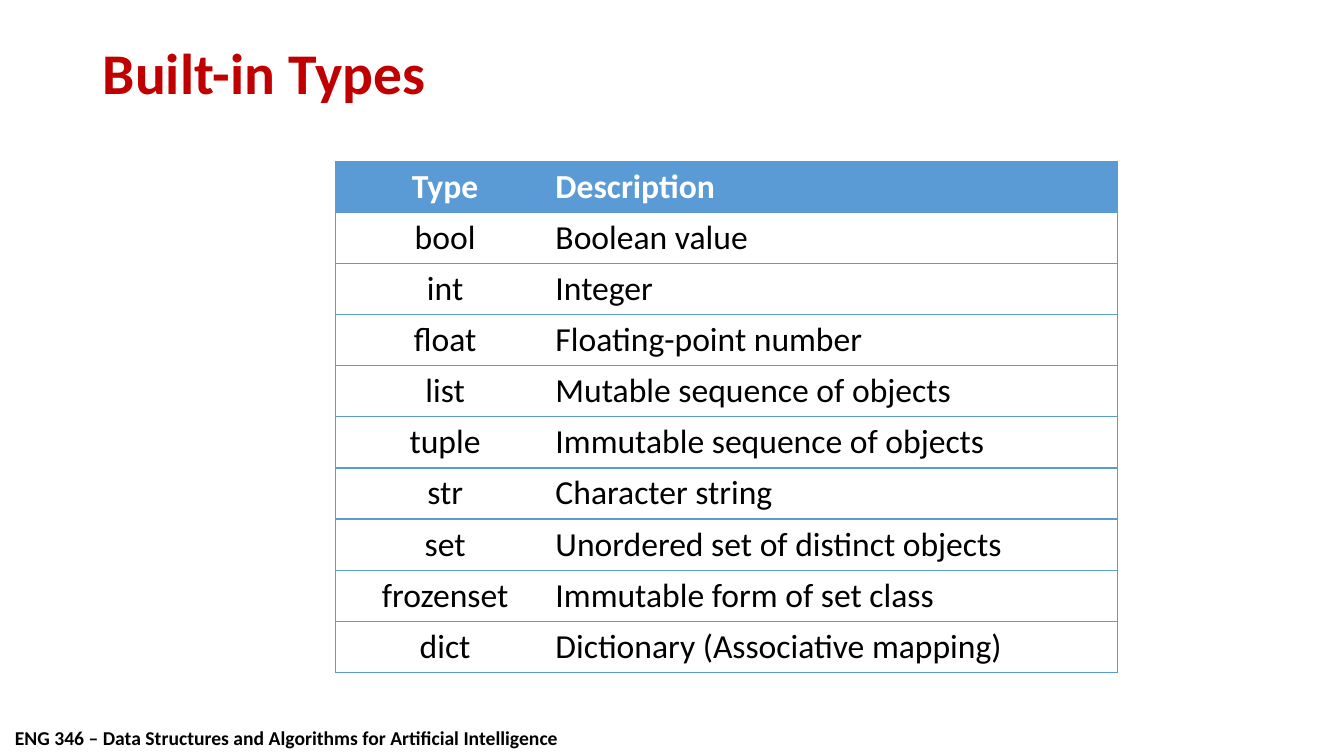
from lxml import etree
from pptx import Presentation
from pptx.dml.color import RGBColor
from pptx.enum.text import MSO_ANCHOR, MSO_AUTO_SIZE, PP_ALIGN
from pptx.oxml.ns import qn
from pptx.util import Inches, Pt

LEFT, CENTER = PP_ALIGN.LEFT, PP_ALIGN.CENTER
MIDDLE = MSO_ANCHOR.MIDDLE
NO_FIT = MSO_AUTO_SIZE.NONE

RED = RGBColor(0xC0, 0x00, 0x00)
BLUE = RGBColor(0x5B, 0x9B, 0xD5)
BLACK = RGBColor(0x00, 0x00, 0x00)
WHITE = RGBColor(0xFF, 0xFF, 0xFF)

TYPES = [
    ("Type", "Description"),
    ("bool", "Boolean value"),
    ("int", "Integer"),
    ("float", "Floating-point number"),
    ("list", "Mutable sequence of objects"),
    ("tuple", "Immutable sequence of objects"),
    ("str", "Character string"),
    ("set", "Unordered set of distinct objects"),
    ("frozenset", "Immutable form of set class"),
    ("dict", "Dictionary (Associative mapping)"),
]


def format_text(p, size, color, bold, align=LEFT):
    p.alignment = align
    for r in p.runs:
        r.font.name = "Calibri"
        r.font.size = Pt(size)
        r.font.bold = bold
        r.font.color.rgb = color


def add_border(cell, side, color):
    tcPr = cell._tc.get_or_add_tcPr()
    ln = etree.SubElement(tcPr, qn("a:ln" + side), w=str(Pt(0.96)))
    if color is None:
        etree.SubElement(ln, qn("a:noFill"))
    else:
        fill = etree.SubElement(ln, qn("a:solidFill"))
        etree.SubElement(fill, qn("a:srgbClr"), val=str(color))


prs = Presentation()
prs.slide_width, prs.slide_height = Inches(13.33), Inches(7.5)
s = prs.slides.add_slide(prs.slide_layouts.get_by_name("Title Only"))

# Title
title = s.shapes.title
title.left, title.top = Inches(0.92), Inches(0.4)
title.width, title.height = Inches(11.5), Inches(0.7)
tf = title.text_frame
tf.text = "Built-in Types"
tf.auto_size = NO_FIT
tf.vertical_anchor = MIDDLE
tf.paragraphs[0].line_spacing = 0.9
format_text(tf.paragraphs[0], 41.1, RED, True)

# Table of types
table = s.shapes.add_table(len(TYPES), 2, Inches(3.33), Inches(1.6),
                           Inches(7.75), Inches(5.07)).table
table.horz_banding = False
table.columns[0].width = Inches(2.17)
table.columns[1].width = Inches(5.58)
for i, row in enumerate(TYPES):
    header = i == 0
    for j, text in enumerate(row):
        cell = table.cell(i, j)
        cell.margin_left = cell.margin_right = Inches(0.01)
        cell.margin_top = cell.margin_bottom = Inches(0.05)
        # Outer frame and row rules, none between the columns
        add_border(cell, "L", BLUE if j == 0 else None)
        add_border(cell, "R", BLUE if j == 1 else None)
        add_border(cell, "T", BLUE)
        add_border(cell, "B", BLUE)
        cell.fill.solid()
        cell.fill.fore_color.rgb = BLUE if header else WHITE
        cell.text_frame.text = text
        format_text(cell.text_frame.paragraphs[0], 24, WHITE if header else BLACK,
                    header, CENTER if j == 0 else LEFT)

# Course name at the bottom
course = s.shapes.add_textbox(Inches(0.05), Inches(7.15), Inches(5.63), Inches(0.33))
tf = course.text_frame
tf.word_wrap = False
tf.text = "ENG 346 – Data Structures and Algorithms for Artificial Intelligence"
format_text(tf.paragraphs[0], 14, BLACK, True)

prs.save("out.pptx")
